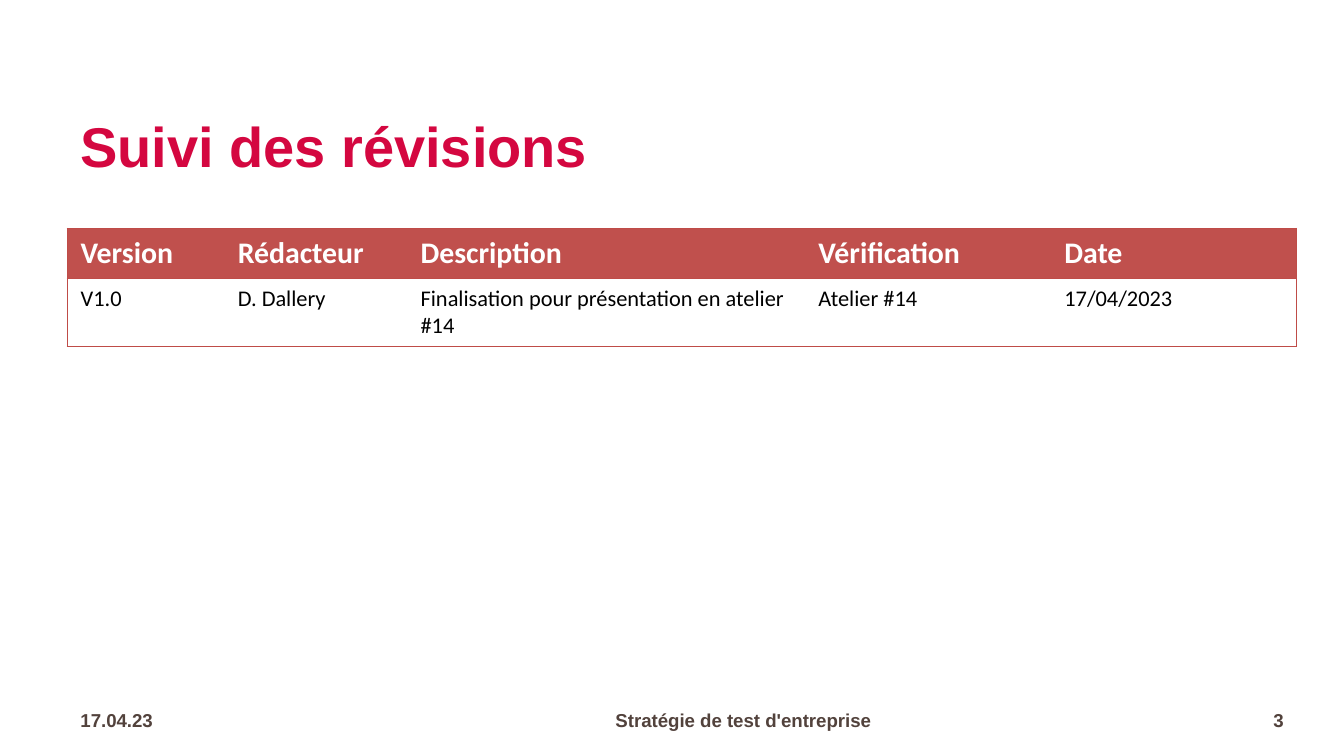
import pptx
import pptx.util
import pptx.dml.color
import pptx.enum.text
from lxml import etree

Inches, Pt = pptx.util.Inches, pptx.util.Pt
RGBColor = pptx.dml.color.RGBColor
PP_ALIGN = pptx.enum.text.PP_ALIGN
MSO_ANCHOR = pptx.enum.text.MSO_ANCHOR

# Content
TITLE = "Suivi des révisions"
ROWS = [
    ("Version", "Rédacteur", "Description", "Vérification", "Date"),
    ("V1.0", "D. Dallery", "Finalisation pour présentation en atelier #14",
     "Atelier #14", "17/04/2023"),
]
FOOTER = [  # text, left, width, alignment
    ("17.04.23", 0.5, 1.42, PP_ALIGN.LEFT),
    ("Stratégie de test d'entreprise", 1.95, 7.16, PP_ALIGN.CENTER),
    ("3", 9.13, 0.52, PP_ALIGN.RIGHT),
]

# Layout and colours
LEFT, WIDTH = 0.5, 9.15
COL_WIDTHS = [1.17, 1.36, 2.96, 1.83, 1.83]
ROW_HEIGHTS = [0.37, 0.5]
CRIMSON = RGBColor(0xD4, 0x07, 0x40)
BROWN = RGBColor(0x52, 0x42, 0x3C)
BRICK = RGBColor(0xC0, 0x50, 0x4D)
BORDER = RGBColor(0xBF, 0x4C, 0x48)
WHITE = RGBColor(0xFF, 0xFF, 0xFF)
BLACK = RGBColor(0, 0, 0)
NO_STYLE = "{2D5ABB26-0587-4C30-8999-92F81FD0307C}"
A = "{http://schemas.openxmlformats.org/drawingml/2006/main}"


def format_runs(p, font, size, color, bold):
    for r in p.runs:
        r.font.name = font
        r.font.size = Pt(size)
        r.font.bold = bold
        r.font.color.rgb = color


def add_text(s, text, box, size, color, align=PP_ALIGN.LEFT):
    sp = s.shapes.add_textbox(*map(Inches, box))
    tf = sp.text_frame
    tf.word_wrap = True
    tf.vertical_anchor = MSO_ANCHOR.MIDDLE
    p = tf.paragraphs[0]
    p.text = text
    p.alignment = align
    format_runs(p, "Arial", size, color, True)
    return p


def set_borders(cell, sides):
    """Draw the given sides (in L, R, T, B order); call before filling."""
    tc_pr = cell._tc.get_or_add_tcPr()
    for side in sides:
        ln = etree.SubElement(tc_pr, f"{A}ln{side}", w=str(Pt(0.75)))
        fill = etree.SubElement(ln, f"{A}solidFill")
        etree.SubElement(fill, f"{A}srgbClr", val=str(BORDER))


def add_revisions(s):
    frame = s.shapes.add_table(len(ROWS), len(COL_WIDTHS), Inches(LEFT), Inches(1.7),
                               Inches(WIDTH), Inches(sum(ROW_HEIGHTS)))
    table = frame.table
    table._tbl.tblPr.find(f"{A}tableStyleId").text = NO_STYLE
    table.horz_banding = False
    for col, width in zip(table.columns, COL_WIDTHS):
        col.width = Inches(width)
    for row, height in zip(table.rows, ROW_HEIGHTS):
        row.height = Inches(height)
    last_row, last_col = len(ROWS) - 1, len(COL_WIDTHS) - 1
    for i, row in enumerate(ROWS):
        header = i == 0
        for j, text in enumerate(row):
            cell = table.cell(i, j)
            sides = "L" * (j == 0) + "R" * (j == last_col) + "T" + "B" * (i == last_row)
            set_borders(cell, sides)
            cell.fill.solid()
            cell.fill.fore_color.rgb = BRICK if header else WHITE
            p = cell.text_frame.paragraphs[0]
            p.text = text
            format_runs(p, "Calibri", 16 if header else 12,
                        WHITE if header else BLACK, header)


# 16:9 slide
prs = pptx.Presentation()
prs.slide_width = Inches(10)
prs.slide_height = prs.slide_width * 9 // 16
s = prs.slides.add_slide(prs.slide_layouts[6])

# Revision table
add_revisions(s)

# Title
title = add_text(s, TITLE, (LEFT, 0.59, WIDTH, 1.04), 30, CRIMSON)
title.line_spacing = 0.9

# Footer
for text, left, width, align in FOOTER:
    add_text(s, text, (left, 5.21, width, 0.3), 10, BROWN, align)

prs.save("out.pptx")
